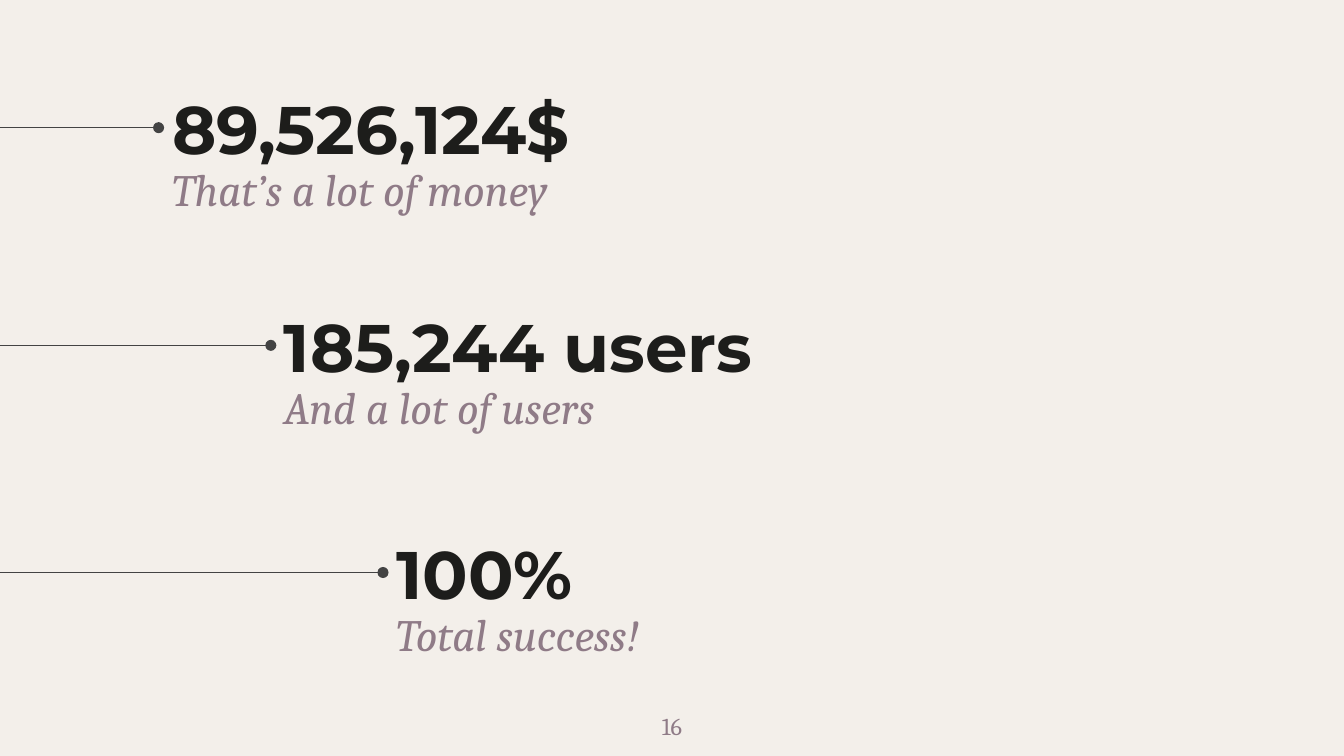
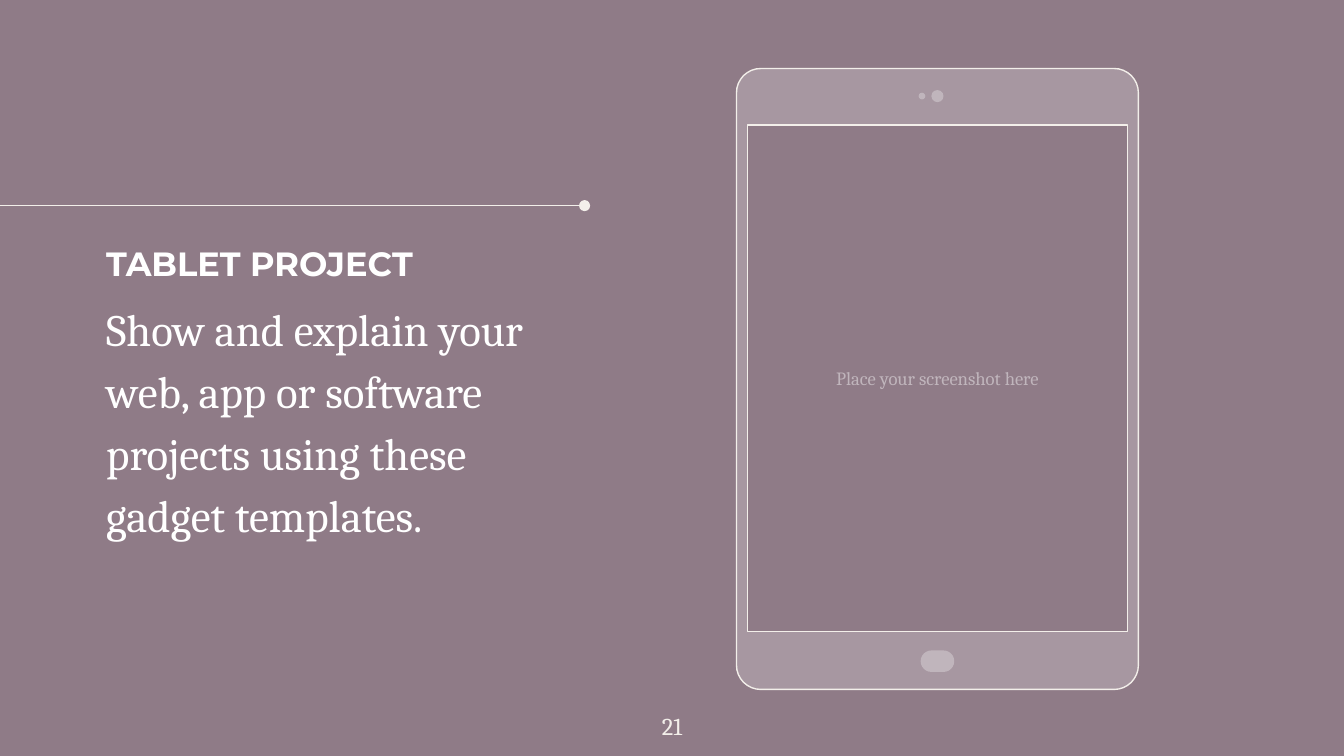
"""Build two slides: three big numbers, and a tablet project mock-up."""
import math

import pptx
import pptx.util
from lxml import etree
from pptx.dml.color import RGBColor
from pptx.enum.shapes import MSO_CONNECTOR, MSO_SHAPE
from pptx.enum.text import MSO_ANCHOR, MSO_AUTO_SIZE, PP_ALIGN
from pptx.oxml.ns import qn

Inches = pptx.util.Inches
Pt = pptx.util.Pt

CREAM = RGBColor(0xF3, 0xEF, 0xEA)
MAUVE = RGBColor(0x8F, 0x7B, 0x87)
INK = RGBColor(0x1D, 0x1D, 0x1B)
GREY = RGBColor(0x43, 0x43, 0x43)
WHITE = RGBColor(0xFF, 0xFF, 0xFF)
CASE = RGBColor(0xA7, 0x97, 0xA1)
PALE = RGBColor(0xC0, 0xB5, 0xBC)

HEAD_FONT, TEXT_FONT = "Montserrat", "Cambria"
WIDTH, HEIGHT = 10, 5.625

NUMBERS = [
    ("89,526,124$", "That’s a lot of money", 0.46),
    ("185,244 users", "And a lot of users", 2.08),
    ("100%", "Total success!", 3.77),
]
NUMBER_LEFT, NUMBER_STEP, NUMBER_WIDTH = 1.18, 0.835, 6.57
TITLE_HEIGHT, CAPTION_DROP, CAPTION_HEIGHT = 0.98, 0.585, 0.51

PROJECT_TITLE = "TABLET PROJECT"
PROJECT_TEXT = "Show and explain your web, app or software projects using these gadget templates."
SCREEN_TEXT = "Place your screenshot here"
TABLET = (5.48, 0.51, 2.99, 4.62)
SCREEN = (5.56, 0.93, 2.83, 3.77)
TABLET_RADIUS = 0.18
DETAILS = [
    (MSO_SHAPE.ROUNDED_RECTANGLE, 4.92, 0, 0.25, 0.16),
    (MSO_SHAPE.OVAL, 0.715, -0.115, 0.05, 0.05),
    (MSO_SHAPE.OVAL, 0.715, 0, 0.09, 0.09),
]


def place(shape, left, top, width, height):
    shape.left, shape.top = Inches(left), Inches(top)
    shape.width, shape.height = Inches(width), Inches(height)


def write(box, lines, anchor=MSO_ANCHOR.TOP, align=PP_ALIGN.LEFT, spacing=1.0, before=0):
    frame = box.text_frame
    frame.word_wrap = True
    frame.auto_size = MSO_AUTO_SIZE.NONE
    frame.vertical_anchor = anchor
    frame.margin_left = frame.margin_right = Inches(0.1)
    frame.margin_top = frame.margin_bottom = Inches(0.1)
    for index, (text, size, font, color, bold, italic) in enumerate(lines):
        para = frame.add_paragraph() if index else frame.paragraphs[0]
        para.alignment = align
        para.line_spacing = spacing
        para.space_before = Pt(before)
        para.space_after = Pt(0)
        properties = para._p.get_or_add_pPr()
        properties.set("marL", "0")
        properties.set("indent", "0")
        etree.SubElement(properties, qn("a:buNone"))
        span = para.add_run()
        span.text = text
        span.font.size, span.font.name = Pt(size), font
        span.font.bold, span.font.italic = bold, italic
        span.font.color.rgb = color


def add_text(page, area, lines, **layout):
    box = page.shapes.add_textbox(*map(Inches, area))
    write(box, lines, **layout)
    return box


def add_page(deck, layout, background, number, number_color):
    page = deck.slides.add_slide(deck.slide_layouts[layout])
    page.background.fill.solid()
    page.background.fill.fore_color.rgb = background
    add_text(page, (WIDTH / 2 - 0.3, 5.19, 0.6, 0.43),
             [(number, 13, TEXT_FONT, number_color, False, False)], align=PP_ALIGN.CENTER)
    return page


def add_dot_line(page, x, y, color):
    line = page.shapes.add_connector(
        MSO_CONNECTOR.STRAIGHT, Inches(x), Inches(y), 0, Inches(y))
    line.line.color.rgb = color
    line.line.width = Pt(0.75)
    etree.SubElement(line.line._get_or_add_ln(), qn("a:headEnd"), type="oval")
    etree.SubElement(line._element.spPr, qn("a:effectLst"))
    return line


def paint(shape, fill, outline=None):
    shape.shadow.inherit = False
    shape.fill.solid()
    shape.fill.fore_color.rgb = fill
    if outline is None:
        shape.line.fill.background()
    else:
        shape.line.color.rgb = outline
        shape.line.width = Pt(0.75)


def rounded_outline(left, top, width, height, radius, steps=8):
    right, bottom = left + width - radius, top + height - radius
    centres = [(right, bottom), (left + radius, bottom),
               (left + radius, top + radius), (right, top + radius)]
    points = []
    for corner, (x, y) in enumerate(centres):
        for step in range(steps + 1):
            angle = (corner + step / steps) * math.pi / 2
            points.append((Inches(x + radius * math.cos(angle)),
                           Inches(y + radius * math.sin(angle))))
    return points


def add_tablet(page):
    group = page.shapes.add_group_shape()
    left, top, width, height = SCREEN
    right, bottom = left + width, top + height
    hole = [(Inches(x), Inches(y)) for x, y in
            [(right, top), (right, bottom), (left, bottom), (left, top)]]
    edge = rounded_outline(*TABLET, TABLET_RADIUS)
    builder = group.shapes.build_freeform(*hole[0])
    builder.add_line_segments(hole[1:], close=True)
    builder.move_to(*edge[0])
    builder.add_line_segments(edge[1:], close=True)
    paint(builder.convert_to_shape(), CASE, CREAM)
    middle = TABLET[0] + TABLET[2] / 2
    for kind, y, shift, wide, high in DETAILS:
        detail = group.shapes.add_shape(
            kind, Inches(middle + shift - wide / 2), Inches(y - high / 2),
            Inches(wide), Inches(high))
        if kind == MSO_SHAPE.ROUNDED_RECTANGLE:
            detail.adjustments[0] = 0.5
        paint(detail, PALE)


def build_numbers(deck):
    page = add_page(deck, 0, CREAM, "16", MAUVE)
    for index, (number, caption, top) in enumerate(NUMBERS):
        left = NUMBER_LEFT + index * NUMBER_STEP
        if index == 0:
            title, subtitle = page.placeholders
        else:
            title, subtitle = (page.shapes.add_textbox(0, 0, 0, 0) for _ in range(2))
        place(title, left, top, NUMBER_WIDTH, TITLE_HEIGHT)
        place(subtitle, left, top + CAPTION_DROP, NUMBER_WIDTH, CAPTION_HEIGHT)
        write(title, [(number, 36, HEAD_FONT, INK, True, False)], anchor=MSO_ANCHOR.MIDDLE)
        write(subtitle, [(caption, 24, TEXT_FONT, MAUVE, False, True)], spacing=1.15, before=6)
        line = add_dot_line(page, left, top + TITLE_HEIGHT / 2, GREY)
        line.begin_connect(title, 1)


def build_project(deck):
    page = add_page(deck, 1, MAUVE, "21", CREAM)
    title, body = page.placeholders
    title._element.getparent().remove(title._element)
    place(body, 0.69, 1.66, 3.8, 2.33)
    write(body, [(PROJECT_TITLE, 18, HEAD_FONT, WHITE, True, False),
                 (PROJECT_TEXT, 24, TEXT_FONT, WHITE, False, False)], spacing=1.15, before=6)
    add_dot_line(page, 4.35, 1.53, CREAM)
    add_text(page, SCREEN, [(SCREEN_TEXT, 10, TEXT_FONT, PALE, False, False)],
             anchor=MSO_ANCHOR.MIDDLE, align=PP_ALIGN.CENTER)
    add_tablet(page)


def main():
    deck = pptx.Presentation()
    deck.slide_width, deck.slide_height = Inches(WIDTH), Inches(HEIGHT)
    build_numbers(deck)
    build_project(deck)
    deck.save("out.pptx")


if __name__ == "__main__":
    main()
